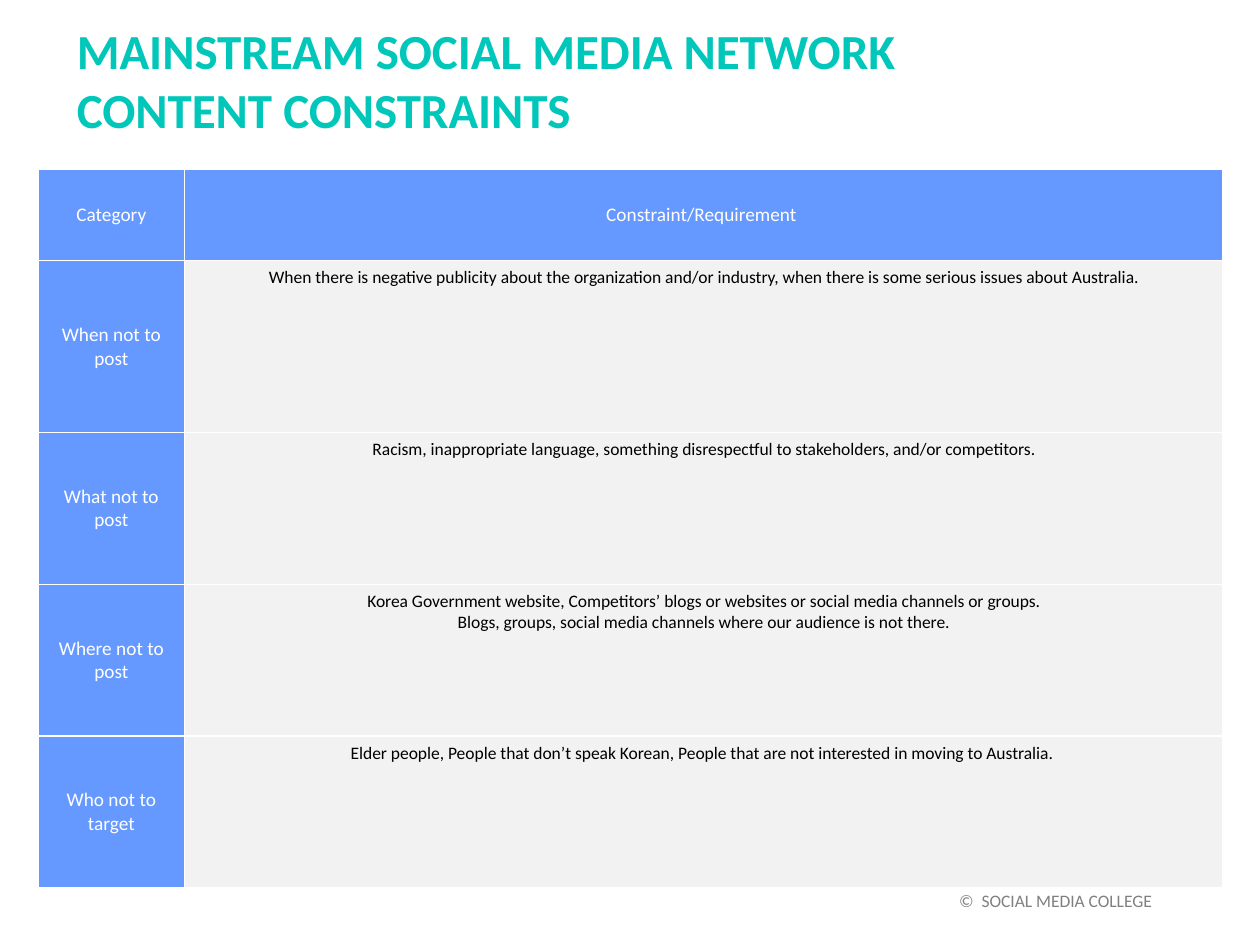
"""Build the slide on content constraints for mainstream social media networks."""
import lxml.etree
import pptx
import pptx.dml.color
import pptx.enum.text
import pptx.oxml
import pptx.oxml.ns
import pptx.util

Cm = pptx.util.Cm
ALIGN = pptx.enum.text.PP_ALIGN
MIDDLE = pptx.enum.text.MSO_ANCHOR.MIDDLE
TOP = pptx.enum.text.MSO_ANCHOR.TOP
WHITE, BLUE, GREY = "FFFFFF", "6699FF", "F2F2F2"


def color(value):
    return pptx.dml.color.RGBColor.from_string(value)


def write_text(frame, text, size=11, fill=WHITE, bold=False, align=ALIGN.CENTER, anchor=MIDDLE):
    frame.word_wrap = True
    frame.vertical_anchor = anchor
    for index, line in enumerate(text.split("\n")):
        paragraph = frame.add_paragraph() if index else frame.paragraphs[0]
        paragraph.alignment = align
        run = paragraph.add_run()
        run.text = line
        run.font.name = "Calibri"
        run.font.size = pptx.util.Pt(size)
        run.font.bold = bold
        run.font.color.rgb = color(fill)


presentation = pptx.Presentation()
presentation.slide_width = Cm(25.4)
presentation.slide_height = Cm(19.05)
slide = presentation.slides.add_slide(presentation.slide_layouts[6])

title = slide.shapes.add_textbox(Cm(1.3), Cm(0.28), Cm(22.45), Cm(2.64))
write_text(title.text_frame, "MAINSTREAM SOCIAL MEDIA NETWORK\nCONTENT CONSTRAINTS",
           size=28, fill="00C7BA", bold=True, align=ALIGN.LEFT)

rows = [
    ("Category", "Constraint/Requirement ", 1.83),
    ("When not to post", "When there is negative publicity about the organization and/or industry, "
     "when there is some serious issues about Australia.", 3.47),
    ("What not to post", "Racism, inappropriate language, something disrespectful to stakeholders, "
     "and/or competitors.", 3.06),
    ("Where not to post", "Korea Government website, Competitors’ blogs or websites or social media "
     "channels or groups.\nBlogs, groups, social media channels where our audience is not there.", 3.06),
    ("Who not to target", "Elder people, People that don’t speak Korean, People that are not "
     "interested in moving to Australia. ", 3.06),
]
table_height = sum(height for category, constraint, height in rows)
table = slide.shapes.add_table(len(rows), 2, Cm(0.77), Cm(3.42), Cm(23.88), Cm(table_height)).table
for column, width in zip(table.columns, (2.95, 20.93)):
    column.width = Cm(width)

for row_index, (category, constraint, height) in enumerate(rows):
    table.rows[row_index].height = Cm(height)
    for column_index, text in enumerate((category, constraint)):
        cell = table.cell(row_index, column_index)
        properties = cell._tc.get_or_add_tcPr()
        for side in ("lnL", "lnR", "lnT", "lnB"):
            border = lxml.etree.SubElement(properties, pptx.oxml.ns.qn(f"a:{side}"), w="12700")
            solid = lxml.etree.SubElement(border, pptx.oxml.ns.qn("a:solidFill"))
            lxml.etree.SubElement(solid, pptx.oxml.ns.qn("a:srgbClr"), val=WHITE)
        is_label = row_index == 0 or column_index == 0
        cell.fill.solid()
        cell.fill.fore_color.rgb = color(BLUE if is_label else GREY)
        cell.vertical_anchor = MIDDLE if is_label else TOP
        write_text(cell.text_frame, text, size=11 if is_label else 10,
                   fill=WHITE if is_label else "000000", anchor=None)

footer = slide.shapes.add_textbox(Cm(0.77), Cm(17.65), Cm(22.7), Cm(1.02))
write_text(footer.text_frame, " ©  SOCIAL MEDIA COLLEGE", size=10, fill="808080", align=ALIGN.RIGHT)

presentation.save("out.pptx")
